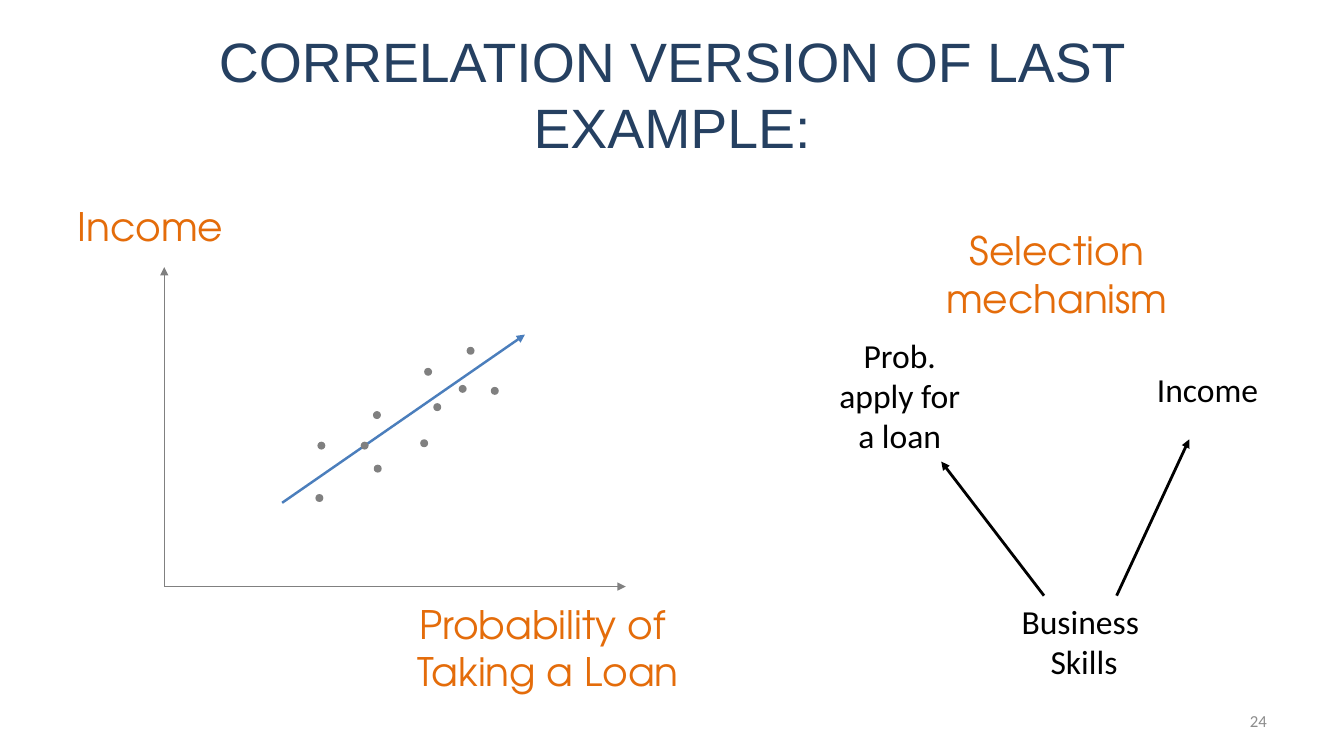
from lxml.etree import SubElement
from pptx import Presentation
from pptx.dml.color import RGBColor
from pptx.enum.shapes import MSO_CONNECTOR, MSO_SHAPE
from pptx.enum.text import MSO_ANCHOR, MSO_AUTO_SIZE, PP_ALIGN
from pptx.oxml.ns import qn
from pptx.util import Cm, Pt

NAVY = RGBColor(0x25, 0x40, 0x61)
ORANGE = RGBColor(0xE4, 0x6C, 0x0A)
BLUE = RGBColor(0x4B, 0x7E, 0xBC)
GRAY = RGBColor(0x80, 0x80, 0x80)
LIGHT_GRAY = RGBColor(0x8C, 0x8C, 0x8C)
BLACK = RGBColor(0, 0, 0)

TITLE = "CORRELATION VERSION OF LAST EXAMPLE:"
TITLE_PLACE = {"left": Cm(1.7), "top": Cm(0.76), "width": Cm(30.48), "height": Cm(3.18)}

FORMATS = {
    "title": {"name": "Arial", "size": Pt(39.6), "color": NAVY},
    "heading": {"name": "TeX Gyre Adventor", "size": Pt(28), "color": ORANGE},
    "cause": {"name": "Calibri", "size": Pt(24), "color": BLACK},
    "number": {"name": "Calibri", "size": Pt(12), "color": LIGHT_GRAY},
}

LABELS = [
    ("Income", "heading", PP_ALIGN.LEFT, False, (1.7, 4.98, 4.24, 1.45)),
    ("Probability of \vTaking a Loan", "heading", PP_ALIGN.CENTER, False, (10.19, 15.01, 7.24, 2.64)),
    ("Selection\vmechanism", "heading", PP_ALIGN.CENTER, False, (23.55, 5.59, 6.17, 2.64)),
    ("Prob. apply for a loan", "cause", PP_ALIGN.CENTER, True, (20.62, 8.31, 4.11, 3.33)),
    ("Income", "cause", PP_ALIGN.CENTER, False, (28.88, 9.17, 3.1, 1.27)),
    ("Business \vSkills", "cause", PP_ALIGN.CENTER, False, (25.48, 15.01, 3.68, 2.31)),
    ("24", "number", PP_ALIGN.RIGHT, True, (24.28, 17.65, 7.9, 1.02)),
]

ORIGIN = (4.14, 14.78)
ARROWS = [
    (ORIGIN, (15.77, 14.78), GRAY, 0.75),
    (ORIGIN, (4.14, 6.73), GRAY, 0.75),
    ((7.11, 12.67), (13.23, 8.43), BLUE, 1.75),
    ((28.14, 15.01), (29.97, 11.07), BLACK, 2),
    ((26.31, 15.01), (23.72, 11.63), BLACK, 2),
]

DOT_SIZE = 0.2
DOTS = [
    (7.95, 12.45), (8.0, 11.13), (9.42, 11.71), (9.4, 10.36),
    (9.09, 11.13), (10.69, 9.27), (10.59, 11.07), (10.92, 10.16),
    (11.56, 9.7), (11.76, 8.74), (12.37, 9.75),
]


def format_text(frame, style, align):
    for paragraph in frame.paragraphs:
        paragraph.alignment = align
        for attribute, value in FORMATS[style].items():
            for run in paragraph.runs:
                if attribute == "color":
                    run.font.color.rgb = value
                else:
                    setattr(run.font, attribute, value)


def add_title(slide):
    title = slide.shapes.title
    for attribute, value in TITLE_PLACE.items():
        setattr(title, attribute, value)
    title.text_frame.text = TITLE
    title.text_frame.vertical_anchor = MSO_ANCHOR.MIDDLE
    format_text(title.text_frame, "title", PP_ALIGN.CENTER)


def add_arrow(slide, start, end, color, weight):
    arrow = slide.shapes.add_connector(
        MSO_CONNECTOR.STRAIGHT, *(Cm(length) for length in start + end)
    )
    arrow.line.color.rgb = color
    arrow.line.width = Pt(weight)
    properties = arrow.element.spPr
    SubElement(properties.find(qn("a:ln")), qn("a:tailEnd"), type="triangle")
    SubElement(properties, qn("a:effectLst"))


def add_dot(slide, left, top):
    dot = slide.shapes.add_shape(
        MSO_SHAPE.OVAL, Cm(left), Cm(top), Cm(DOT_SIZE), Cm(DOT_SIZE)
    )
    dot.shadow.inherit = False
    dot.fill.solid()
    dot.fill.fore_color.rgb = GRAY
    dot.line.fill.background()


def add_label(slide, text, style, align, wrap, place):
    frame = slide.shapes.add_textbox(*(Cm(length) for length in place)).text_frame
    frame.text = text
    frame.word_wrap = wrap
    if style == "number":
        frame.vertical_anchor = MSO_ANCHOR.MIDDLE
    else:
        frame.auto_size = MSO_AUTO_SIZE.SHAPE_TO_FIT_TEXT
    format_text(frame, style, align)


def main():
    """Build the slide on correlation and its selection mechanism."""
    deck = Presentation()
    deck.slide_width, deck.slide_height = Cm(33.87), Cm(19.05)
    slide = deck.slides.add_slide(deck.slide_layouts[5])
    add_title(slide)
    for arrow in ARROWS:
        add_arrow(slide, *arrow)
    for dot in DOTS:
        add_dot(slide, *dot)
    for label in LABELS:
        add_label(slide, *label)
    deck.save("out.pptx")


if __name__ == "__main__":
    main()
